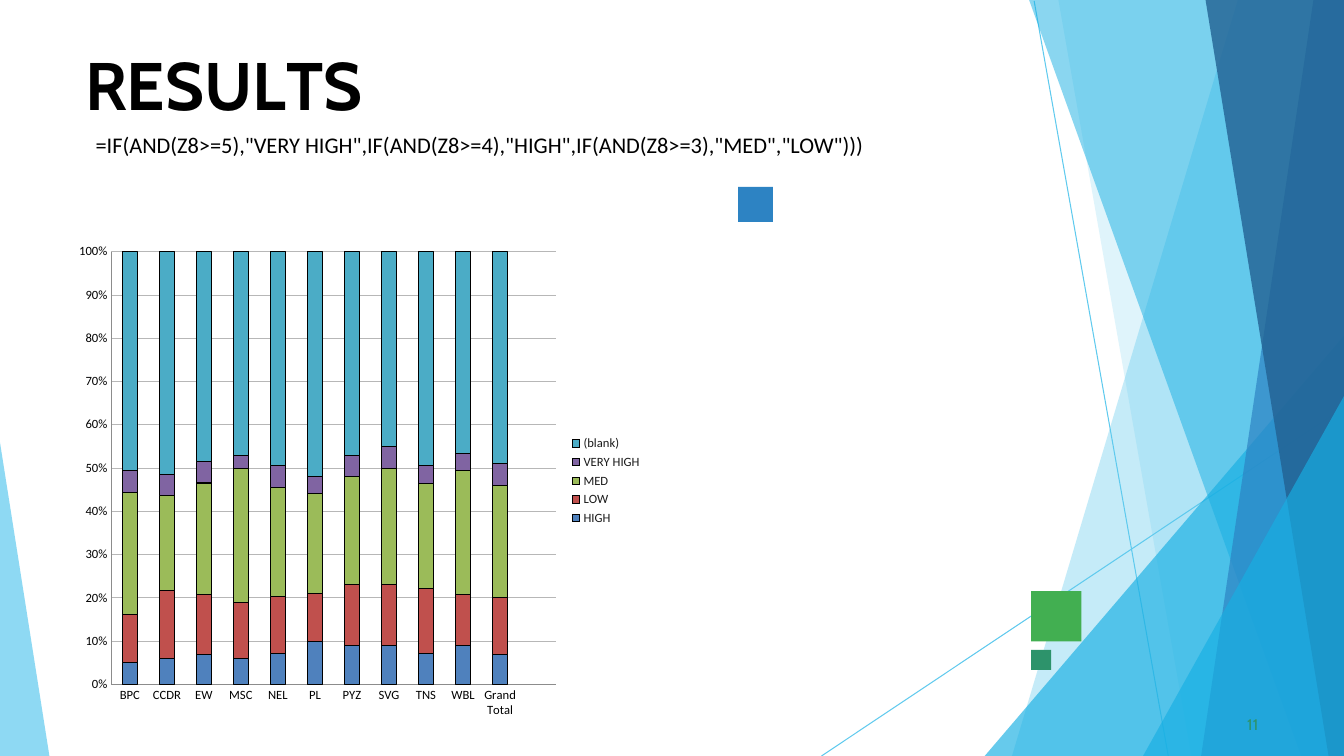
import pptx
import pptx.chart.data
import pptx.dml.color
import pptx.enum.chart
import pptx.enum.shapes
import pptx.oxml.ns
import pptx.util
from lxml import etree

Pt = pptx.util.Pt
qn = pptx.oxml.ns.qn
WIDTH, HEIGHT = 960, 540

# Background lines: start and end
LINES = [((738.7, 0.7), (834.5, 540)), ((960, 290.9), (586.8, 540))]

# Background facets: colour, opacity in percent, corners
FACETS = [
    ("5FCAEE", 36, [(960, 0), (884.2, 0), (722.9, 540), (960, 540)]),
    ("5FCAEE", 20, [(960, 0), (756, 0), (851, 540), (960, 540)]),
    ("17AFE3", 66, [(960, 239.8), (703.4, 540), (960, 540)]),
    ("17AFE3", 50, [(960, 0), (735.1, 0), (929.5, 540), (960, 540)]),
    ("2D83C3", 70, [(960, 0), (938.2, 0), (858, 540), (960, 540)]),
    ("226192", 80, [(960, 0), (861.1, 0), (949, 540), (960, 540)]),
    ("17AFE3", 66, [(960, 283), (816.5, 540), (960, 540)]),
    ("5FCAEE", 70, [(0, 316.1), (0, 540), (35.3, 540)]),
]

# Accent squares: colour, left, top, side
SQUARES = [
    ("42AF51", 736.5, 422.2, 36),
    ("2D83C3", 527.2, 133.5, 25),
    ("2D936B", 736.5, 464.2, 14.25),
]

# Title letters with their spacing in hundredths of a point
TITLE = [("R", -40), ("E", -40), ("S", 10), ("U", -30), ("L", -400), ("TS", 0)]
FORMULA = ' =IF(AND(Z8>=5),"VERY HIGH",IF(AND(Z8>=4),"HIGH",IF(AND(Z8>=3),"MED","LOW")))'

CATEGORIES = ["BPC", "CCDR", "EW", "MSC", "NEL", "PL", "PYZ", "SVG", "TNS",
              "WBL", "Grand Total", ""]
SERIES = [
    ("HIGH", "4F81BD", [5, 6, 7, 6, 7, 10, 9, 9, 7, 9, 7, None]),
    ("LOW", "C0504D", [11, 16, 14, 13, 13, 11, 14, 14, 15, 12, 13, None]),
    ("MED", "9BBB59", [28, 22, 26, 31, 25, 23, 25, 27, 24, 29, 26, None]),
    ("VERY HIGH", "8064A2", [5, 5, 5, 3, 5, 4, 5, 5, 4, 4, 5, None]),
    ("(blank)", "4BACC6", [50, 52, 49, 47, 49, 52, 47, 45, 49, 47, 49, None]),
]


def colour(value):
    return pptx.dml.color.RGBColor.from_string(value)


def apply(target, formats):
    for name, value in formats.items():
        setattr(target, name, value)


def style_font(font, face, size, ink, bold=False):
    apply(font, {"name": face, "size": Pt(size), "bold": bold})
    font.color.rgb = colour(ink)


def style_line(line, ink, width):
    line.color.rgb = colour(ink)
    line.width = Pt(width)


def paint(shape, ink, opacity=100):
    shape.shadow.inherit = False
    shape.line.fill.background()
    shape.fill.solid()
    shape.fill.fore_color.rgb = colour(ink)
    if opacity < 100:
        fill = shape.fill._xPr.find(qn("a:solidFill"))
        etree.SubElement(fill[0], qn("a:alpha"), val=str(opacity * 1000))


def add_line(page, start, end):
    line = page.shapes.add_connector(
        pptx.enum.shapes.MSO_CONNECTOR.STRAIGHT, *map(Pt, start + end))
    style_line(line.line, "5FCAEE", 0.75)
    etree.SubElement(line._element.spPr, qn("a:effectLst"))


def add_facet(page, ink, opacity, corners):
    points = [(Pt(x), Pt(y)) for x, y in corners]
    builder = page.shapes.build_freeform(*points[0])
    builder.add_line_segments(points[1:], close=True)
    paint(builder.convert_to_shape(), ink, opacity)


def add_square(page, ink, left, top, side):
    square = page.shapes.add_shape(
        pptx.enum.shapes.MSO_SHAPE.RECTANGLE, Pt(left), Pt(top), Pt(side), Pt(side))
    paint(square, ink)


def add_text(page, bounds, spans, font, margins=(7.2, 3.6, 7.2, 3.6), before=0):
    box = page.shapes.add_textbox(*map(Pt, bounds))
    sides = ("margin_left", "margin_top", "margin_right", "margin_bottom")
    apply(box.text_frame, {"word_wrap": True, **dict(zip(sides, map(Pt, margins)))})
    para = box.text_frame.paragraphs[0]
    para.space_before = Pt(before)
    for text, spacing in spans:
        span = para.add_run()
        span.text = text
        style_font(span.font, *font)
        if spacing:
            span.font._element.set("spc", str(spacing))


def set_plot_layout(chart, **fractions):
    plot_area = chart._chartSpace.chart.plotArea
    layout = plot_area.find(qn("c:layout"))
    if layout is None:
        layout = etree.Element(qn("c:layout"))
        plot_area.insert(0, layout)
    manual = etree.SubElement(layout, qn("c:manualLayout"))
    settings = {"layoutTarget": "inner", "xMode": "edge", "yMode": "edge", **fractions}
    for name, value in settings.items():
        etree.SubElement(manual, qn("c:" + name), val=str(value))


def add_results_chart(page, bounds):
    kinds = pptx.enum.chart
    data = pptx.chart.data.CategoryChartData()
    data.categories = CATEGORIES
    for name, _, values in SERIES:
        data.add_series(name, values)
    chart = page.shapes.add_chart(
        kinds.XL_CHART_TYPE.COLUMN_STACKED_100, *map(Pt, bounds), data).chart
    apply(chart, {"has_title": False, "has_legend": True})
    style_font(chart.font, "Calibri", 10, "000000")
    set_plot_layout(chart, x=0.075, y=0.034, w=0.76, h=0.88)

    # Columns
    plot = chart.plots[0]
    apply(plot, {"gap_width": 150, "overlap": 100, "vary_by_categories": False})
    for series, (_, ink, _) in zip(plot.series, SERIES):
        series.format.fill.solid()
        series.format.fill.fore_color.rgb = colour(ink)
        style_line(series.format.line, "000000", 0.75)

    # Axes
    for axis in (chart.category_axis, chart.value_axis):
        apply(axis, {"major_tick_mark": kinds.XL_TICK_MARK.NONE,
                     "minor_tick_mark": kinds.XL_TICK_MARK.NONE})
        style_font(axis.tick_labels.font, "Calibri", 9, "000000")
        style_line(axis.format.line, "8C8C8C", 0.5)
    apply(chart.value_axis, {"minimum_scale": 0, "maximum_scale": 1,
                             "major_unit": 0.1, "has_major_gridlines": True})
    apply(chart.value_axis.tick_labels,
          {"number_format": "0%", "number_format_is_linked": False})
    style_line(chart.value_axis.major_gridlines.format.line, "B7B7B7", 0.5)

    # Legend
    apply(chart.legend, {"position": kinds.XL_LEGEND_POSITION.RIGHT,
                         "include_in_layout": False})
    style_font(chart.legend.font, "Calibri", 9, "1A1A1A")


def main():
    deck = pptx.Presentation()
    apply(deck, {"slide_width": Pt(WIDTH), "slide_height": Pt(HEIGHT)})
    page = deck.slides.add_slide(deck.slide_layouts[6])

    # Background and accents
    for start, end in LINES:
        add_line(page, start, end)
    for facet in FACETS:
        add_facet(page, *facet)
    for square in SQUARES:
        add_square(page, *square)

    # Title, page number, chart and formula
    add_text(page, (60, 30.2, 841, 60), TITLE, ("Cabin", 48, "000000", True),
             (1, 1, 0, 0), 1.1)
    add_text(page, (887.8, 509.8, 18, 15), [("11", 10)], ("Cabin", 11, "2D936B"),
             (3, 1, 0, 0), 0.6)
    add_results_chart(page, (48.2, 167.8, 417.6, 351.4))
    add_text(page, (57.6, 90, 622, 57.6), [(FORMULA, 0)], ("Calibri", 16, "000000"))

    deck.save("out.pptx")


if __name__ == "__main__":
    main()
